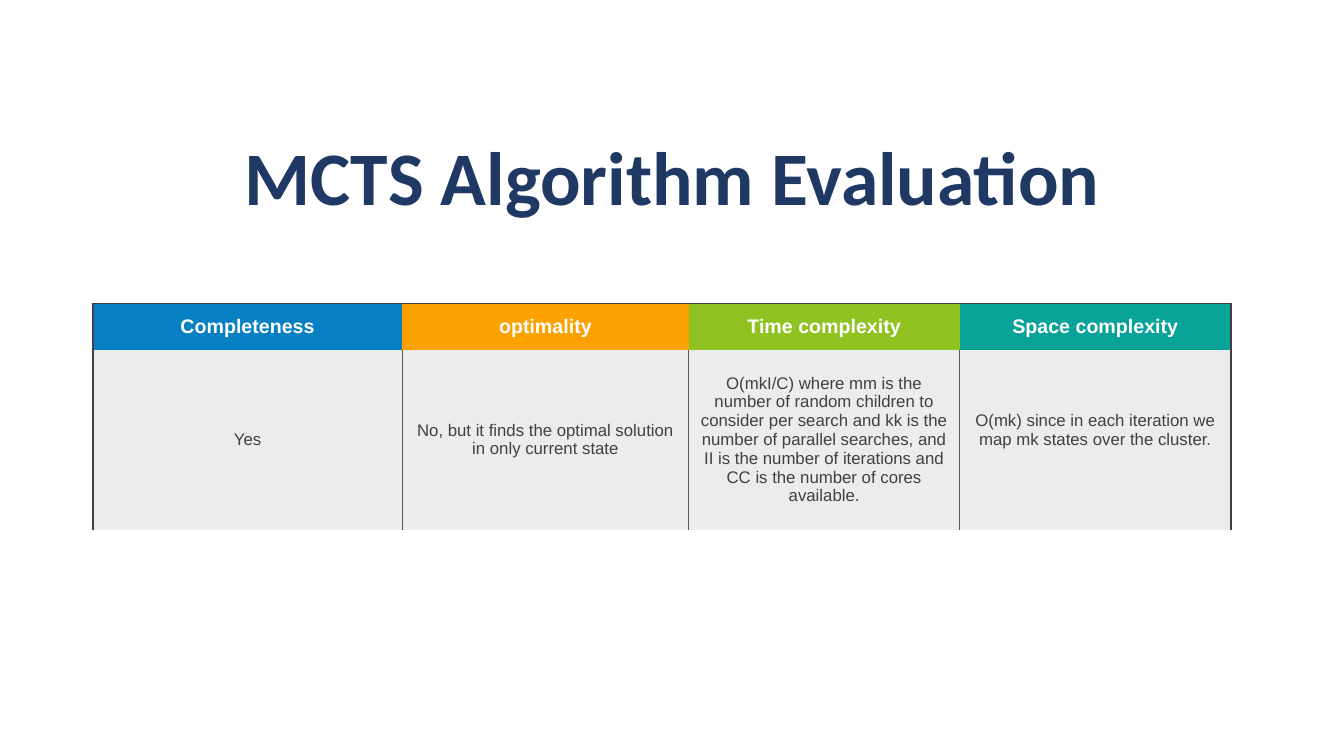
from dataclasses import dataclass

from lxml.etree import SubElement
from pptx import Presentation
from pptx.dml.color import RGBColor
from pptx.enum.text import MSO_ANCHOR, PP_ALIGN
from pptx.oxml.ns import qn
from pptx.util import Pt

WHITE, NAVY, DARK, GREY, PALE = "FFFFFF", "1F3864", "404040", "595959", "ECECEC"
NO_GRID_STYLE = "{2D5ABB26-0587-4C30-8999-92F81FD0307C}"
HEADER_HEIGHT, BODY_HEIGHT = 33, 128.6


@dataclass
class Column:
    heading: str
    color: str
    width: float
    text: str
    bottom: float = 3.6


COLUMNS = [
    Column("Completeness", "0680C3", 221, "Yes"),
    Column("optimality", "FBA200", 204.5,
           "No, but it finds the optimal solution in only current state"),
    Column("Time complexity", "90C221", 193.7,
           "O(mkI/C) where mm is the number of random children to consider "
           "per search and kk is the number of parallel searches, "
           "and II is the number of iterations and CC is the number of "
           "cores available."),
    Column("Space complexity", "07A398", 193.7,
           "O(mk) since in each iteration we map mk states over the cluster.",
           bottom=17.2),
]


def rgb(color: str) -> RGBColor:
    return RGBColor.from_string(color)


def write(tf, text: str, color: str, **font) -> None:
    """Fill a text frame with one centred paragraph."""
    p = tf.paragraphs[0]
    p.alignment = PP_ALIGN.CENTER
    r = p.add_run()
    r.text = text
    r.font.color.rgb = rgb(color)
    for name, value in font.items():
        setattr(r.font, name, value)


def add_borders(cell, borders: dict[str, str]) -> None:
    """Draw 1 pt borders; the keys are the sides L, R and T, in that order."""
    tc_pr = cell._tc.get_or_add_tcPr()
    for side, color in borders.items():
        ln = SubElement(tc_pr, qn(f"a:ln{side}"), w=str(Pt(1)))
        fill = SubElement(ln, qn("a:solidFill"))
        SubElement(fill, qn("a:srgbClr"), val=color)


def fill_cell(cell, text: str, fill: str, color: str,
              borders: dict[str, str], **font) -> None:
    add_borders(cell, borders)
    cell.fill.solid()
    cell.fill.fore_color.rgb = rgb(fill)
    cell.vertical_anchor = MSO_ANCHOR.MIDDLE
    write(cell.text_frame, text, color, name="Arial", **font)


def add_title(s) -> None:
    sp = s.shapes.title
    box = dict(left=24.5, top=96.5, width=911.5, height=56.9)
    for name, value in box.items():
        setattr(sp, name, Pt(value))
    tf = sp.text_frame
    tf.word_wrap = True
    tf.vertical_anchor = MSO_ANCHOR.MIDDLE
    write(tf, "MCTS Algorithm Evaluation", NAVY,
          name="Calibri", size=Pt(54), bold=True)


def add_evaluation_table(s) -> None:
    width = sum(c.width for c in COLUMNS)
    frame = s.shapes.add_table(2, len(COLUMNS), Pt(66.4), Pt(216.7), Pt(width),
                               Pt(HEADER_HEIGHT + BODY_HEIGHT))
    table = frame.table
    table.horz_banding = table.first_row = False
    table._tbl.tblPr.find(qn("a:tableStyleId")).text = NO_GRID_STYLE
    for row, height in zip(table.rows, (HEADER_HEIGHT, BODY_HEIGHT)):
        row.height = Pt(height)

    last = len(COLUMNS) - 1
    for i, column in enumerate(COLUMNS):
        table.columns[i].width = Pt(column.width)
        # Outer edges are darker than the inner dividers
        outer = {"L": DARK} if i == 0 else {"R": DARK} if i == last else {}
        fill_cell(table.cell(0, i), column.heading, column.color, WHITE,
                  outer | {"T": DARK}, size=Pt(14), bold=True)
        body = table.cell(1, i)
        fill_cell(body, column.text, PALE, DARK,
                  {"L": GREY, "R": GREY} | outer, size=Pt(12), bold=False)
        body.margin_bottom = Pt(column.bottom)


def main() -> None:
    prs = Presentation()
    prs.slide_width, prs.slide_height = Pt(960), Pt(540)
    s = prs.slides.add_slide(prs.slide_layouts[5])
    add_title(s)
    add_evaluation_table(s)
    prs.save("out.pptx")


if __name__ == "__main__":
    main()
